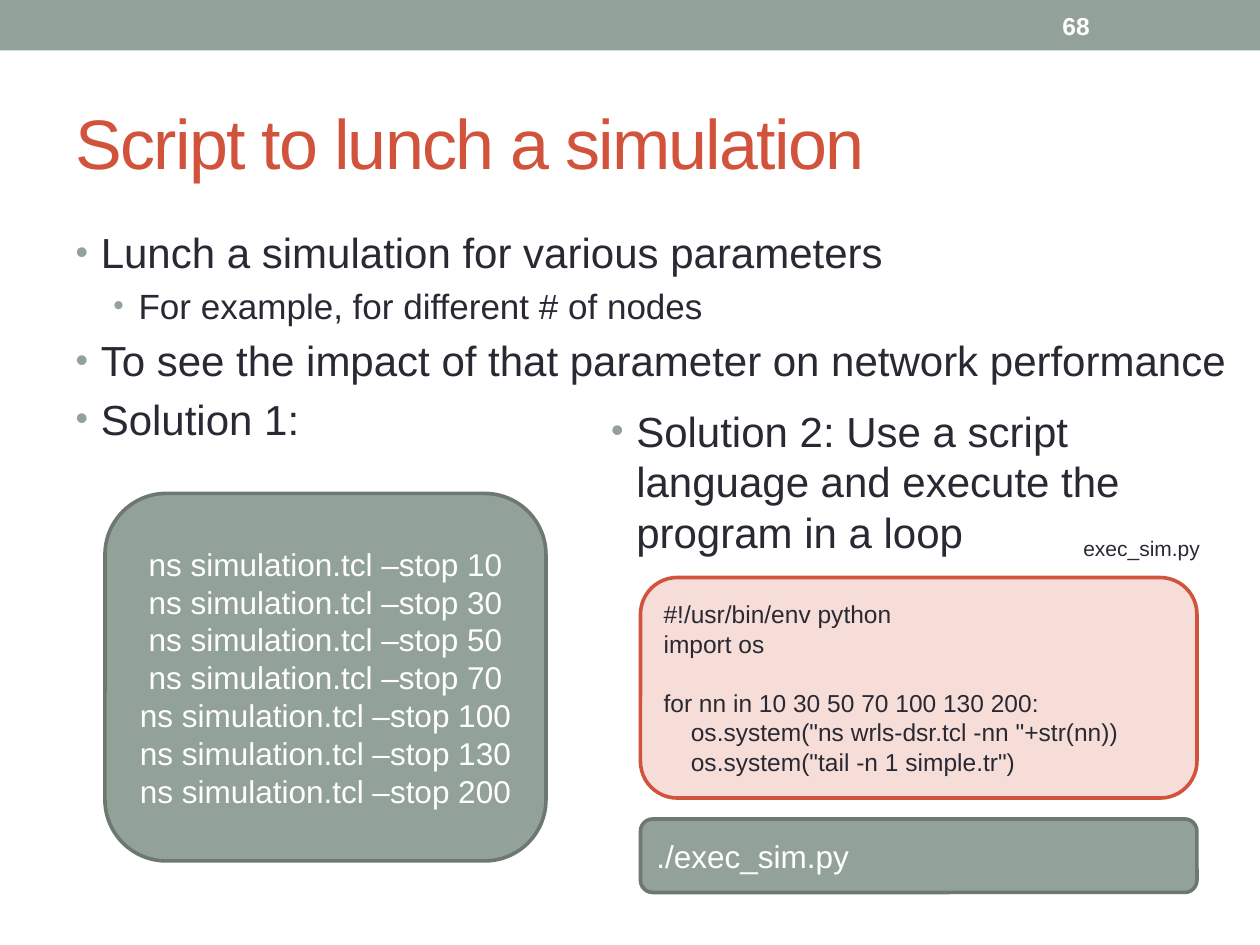
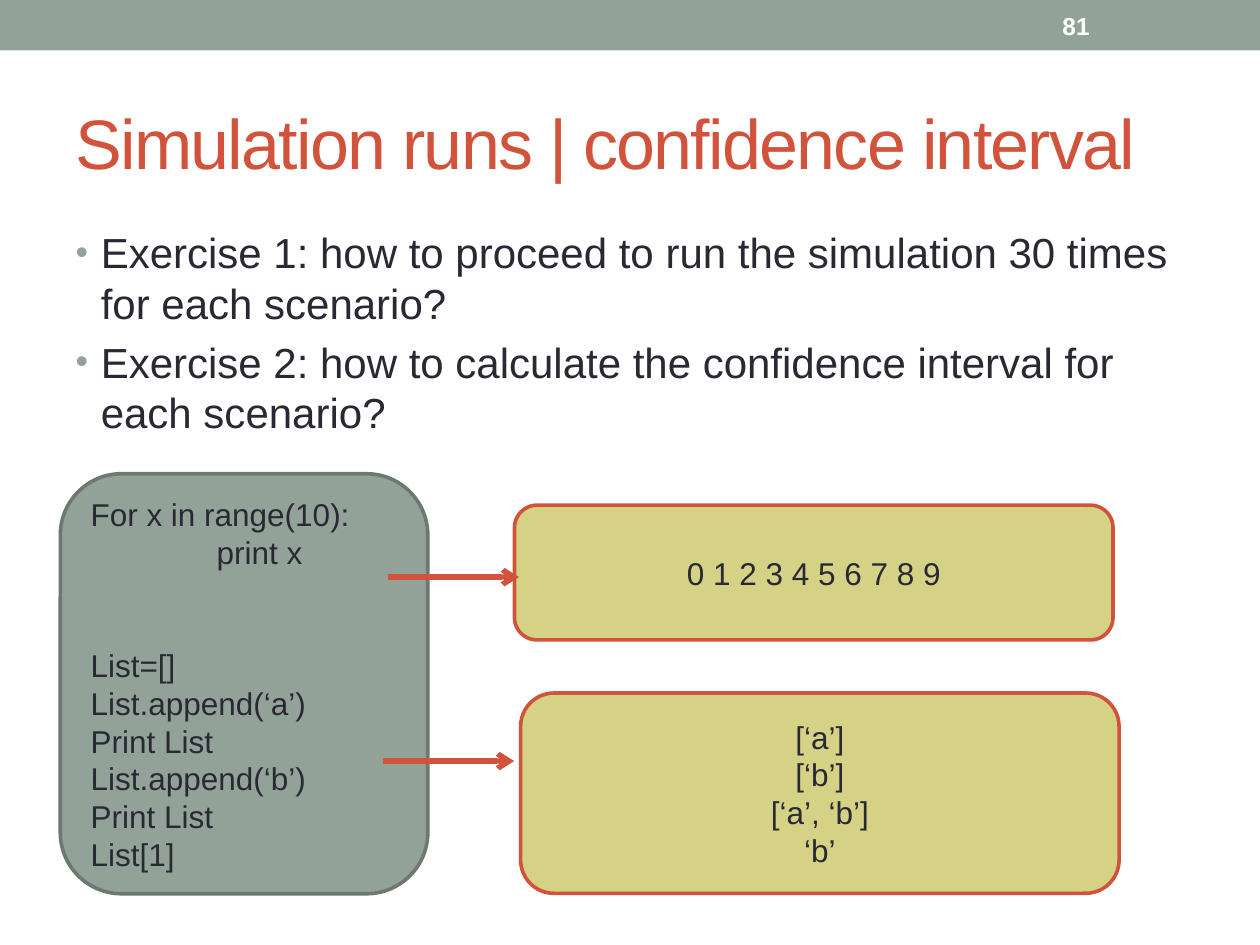
from pptx import Presentation
from pptx.dml.color import RGBColor
from pptx.enum.shapes import MSO_CONNECTOR, MSO_SHAPE
from pptx.enum.text import MSO_ANCHOR, MSO_AUTO_SIZE, PP_ALIGN
from pptx.oxml.ns import qn
from pptx.util import Pt
from lxml import etree

RECT, ROUND = MSO_SHAPE.RECTANGLE, MSO_SHAPE.ROUNDED_RECTANGLE
LEFT, CENTER = PP_ALIGN.LEFT, PP_ALIGN.CENTER
TOP, MIDDLE = MSO_ANCHOR.TOP, MSO_ANCHOR.MIDDLE
STRAIGHT = MSO_CONNECTOR.STRAIGHT
FIXED = MSO_AUTO_SIZE.NONE

SAGE = RGBColor(0x93, 0xA2, 0x99)
MOSS = RGBColor(0x6D, 0x78, 0x71)
RUST = RGBColor(0xD2, 0x53, 0x3C)
BLUSH = RGBColor(0xF6, 0xDD, 0xD8)
OLIVE = RGBColor(0xD5, 0xD2, 0x86)
INK = RGBColor(0x29, 0x29, 0x34)
WHITE = RGBColor(0xFF, 0xFF, 0xFF)

FONT = "Arial"
WIDE, HIGH = 720, 540
BAND = (0, 0, WIDE, 28.8)
TITLE = (36, 42, 648, 78)
NUMBER = (600, 1.5, 84, 26)
SIZES = (24, 20)       # list text by level
INDENTS = (14.4, 36)   # list text edge by level
HANG = 14.4
TAB, STEP = 72, 15.6   # code indents

# Box styles: fill, line, text colour, text size, alignment
SHELL = (SAGE, MOSS, WHITE, 18, CENTER)
PROMPT = (SAGE, MOSS, WHITE, 18, LEFT)
SCRIPT = (BLUSH, RUST, INK, 14, LEFT)
SOURCE = (SAGE, MOSS, INK, 18, LEFT)
OUTPUT = (OLIVE, RUST, INK, 18, CENTER)

# List items are (text, level); box lines are (text, indent, lines left free above).
SLIDES = [
    {
        "layout": 3,
        "number": "68",
        "title": "Script to lunch a simulation",
        "lists": [
            ((36, 126, 672, 384), [
                ("Lunch a simulation for various parameters", 0),
                ("For example, for different # of nodes", 1),
                ("To see the impact of that parameter on network performance", 0),
                ("Solution 1:", 0),
            ]),
            ((342, 228, 354, 294), [
                ("Solution 2: Use a script language and execute the program in a loop", 0),
            ]),
        ],
        "boxes": [
            ((60, 282, 252, 210), SHELL,
             [(f"ns simulation.tcl –stop {stop}", 0, 0)
              for stop in (10, 30, 50, 70, 100, 130, 200)]),
            ((366, 330, 318, 126), SCRIPT, [
                ("#!/usr/bin/env python", 0, 0),
                ("import os", 0, 0),
                ("for nn in 10 30 50 70 100 130 200:", 0, 1),
                ('os.system("ns wrls-dsr.tcl -nn "+str(nn))', STEP, 0),
                ('os.system("tail -n 1 simple.tr")', STEP, 0),
            ]),
            ((366, 468, 318, 42), PROMPT, [("./exec_sim.py", 0, 0)]),
        ],
        "labels": [((612, 302.4, 108, 21.6), "exec_sim.py")],
        "arrows": [],
    },
    {
        "layout": 1,
        "number": "81",
        "title": "Simulation runs | confidence interval",
        "lists": [
            ((36, 126, 648, 384), [
                ("Exercise 1: how to proceed to run the simulation 30 times "
                 "for each scenario?", 0),
                ("Exercise 2: how to calculate the confidence interval "
                 "for each scenario?", 0),
            ]),
        ],
        "boxes": [
            ((34.5, 270.7, 210, 240), SOURCE, [
                ("For x in range(10):", 0, 0),
                ("print x", TAB, 0),
                ("List=[]", 0, 2),
                ("List.append(‘a’)", 0, 0),
                ("Print List", 0, 0),
                ("List.append(‘b’)", 0, 0),
                ("Print List", 0, 0),
                ("List[1]", 0, 0),
            ]),
            ((294, 288.7, 342, 77), OUTPUT, [("0 1 2 3 4 5 6 7 8 9", 0, 0)]),
            ((297.5, 396, 342, 114.5), OUTPUT, [
                (text, 0, 0) for text in ("[‘a’]", "[‘b’]", "[‘a’, ‘b’]", "‘b’")
            ]),
        ],
        "labels": [],
        "arrows": [(221.8, 296.6, 329.8), (218.9, 293.8, 434.9)],  # from x, to x, y
    },
]


def points(place):
    return [Pt(value) for value in place]


def move(shape, place):
    for name, value in zip(("left", "top", "width", "height"), points(place)):
        setattr(shape, name, value)


def style(item, look):
    for name, value in look.items():
        setattr(item, name, value)


def write(para, text, size, color, bold=False, align=LEFT):
    run = para.add_run()
    run.text = text
    para.alignment = align
    style(run.font, {"name": FONT, "size": Pt(size), "bold": bold})
    run.font.color.rgb = color
    return run


def lines(frame, items):
    """Yield a paragraph with each item, starting with the frame's first one."""
    for i, item in enumerate(items):
        yield frame.paragraphs[0] if i == 0 else frame.add_paragraph(), item


def indent(para, edge, hang=0):
    props = para._p.get_or_add_pPr()
    props.set("marL", str(Pt(edge)))
    props.set("indent", str(-Pt(hang)))
    return props


def bullet(para, edge):
    props = indent(para, edge, HANG)
    tint = etree.SubElement(props, qn("a:buClr"))
    for parent, tag, key, value in (
        (tint, "a:srgbClr", "val", str(SAGE)),
        (props, "a:buSzPct", "val", "85000"),
        (props, "a:buFont", "typeface", FONT),
        (props, "a:buChar", "char", "•"),
    ):
        etree.SubElement(parent, qn(tag)).set(key, value)


def add_title(slide, text):
    shape = slide.shapes.title
    move(shape, TITLE)
    frame = shape.text_frame
    style(frame, {"vertical_anchor": MIDDLE, "auto_size": FIXED})
    run = write(frame.paragraphs[0], text, 40, RUST)
    run.font._element.set("spc", "-100")


def add_list(holder, place, items):
    move(holder, place)
    frame = holder.text_frame
    style(frame, {"vertical_anchor": TOP, "auto_size": FIXED, "word_wrap": True})
    for para, (text, level) in lines(frame, items):
        size = SIZES[level]
        write(para, text, size, INK)
        style(para, {"level": level, "space_before": Pt(size * 0.2)})
        bullet(para, INDENTS[level])


def add_shape(slide, kind, place, fill, edge=None):
    shape = slide.shapes.add_shape(kind, *points(place))
    shape.shadow.inherit = False
    shape.fill.solid()
    shape.fill.fore_color.rgb = fill
    if edge is None:
        shape.line.fill.background()
    else:
        shape.line.color.rgb = edge
        shape.line.width = Pt(2.08)
    return shape


def add_box(slide, place, look, items):
    fill, edge, color, size, align = look
    frame = add_shape(slide, ROUND, place, fill, edge).text_frame
    style(frame, {"vertical_anchor": MIDDLE, "word_wrap": True})
    for para, (text, inset, free) in lines(frame, items):
        write(para, text, size, color, align=align)
        para.space_before = Pt(free * size * 1.2)
        indent(para, inset)


def add_label(slide, place, text, size, color, bold=False, anchor=TOP):
    frame = slide.shapes.add_textbox(*points(place)).text_frame
    style(frame, {"vertical_anchor": anchor, "word_wrap": True})
    write(frame.paragraphs[0], text, size, color, bold)


def add_arrow(slide, start, end, y):
    arrow = slide.shapes.add_connector(STRAIGHT, *points((start, y, end, y)))
    arrow.line.color.rgb = RUST
    arrow.line.width = Pt(3)
    props = arrow._element.spPr
    tip = etree.SubElement(props.find(qn("a:ln")), qn("a:tailEnd"))
    tip.set("type", "arrow")
    etree.SubElement(props, qn("a:effectLst"))


def build(deck, data):
    slide = deck.slides.add_slide(deck.slide_layouts[data["layout"]])
    add_shape(slide, RECT, BAND, SAGE)
    add_label(slide, NUMBER, data["number"], 14, WHITE, True, MIDDLE)
    add_title(slide, data["title"])
    for spot, (place, items) in enumerate(data["lists"], 1):
        add_list(slide.placeholders[spot], place, items)
    for box in data["boxes"]:
        add_box(slide, *box)
    for place, text in data["labels"]:
        add_label(slide, place, text, 12, INK)
    for arrow in data["arrows"]:
        add_arrow(slide, *arrow)


def main():
    deck = Presentation()
    style(deck, {"slide_width": Pt(WIDE), "slide_height": Pt(HIGH)})
    for data in SLIDES:
        build(deck, data)
    deck.save("out.pptx")


if __name__ == "__main__":
    main()
